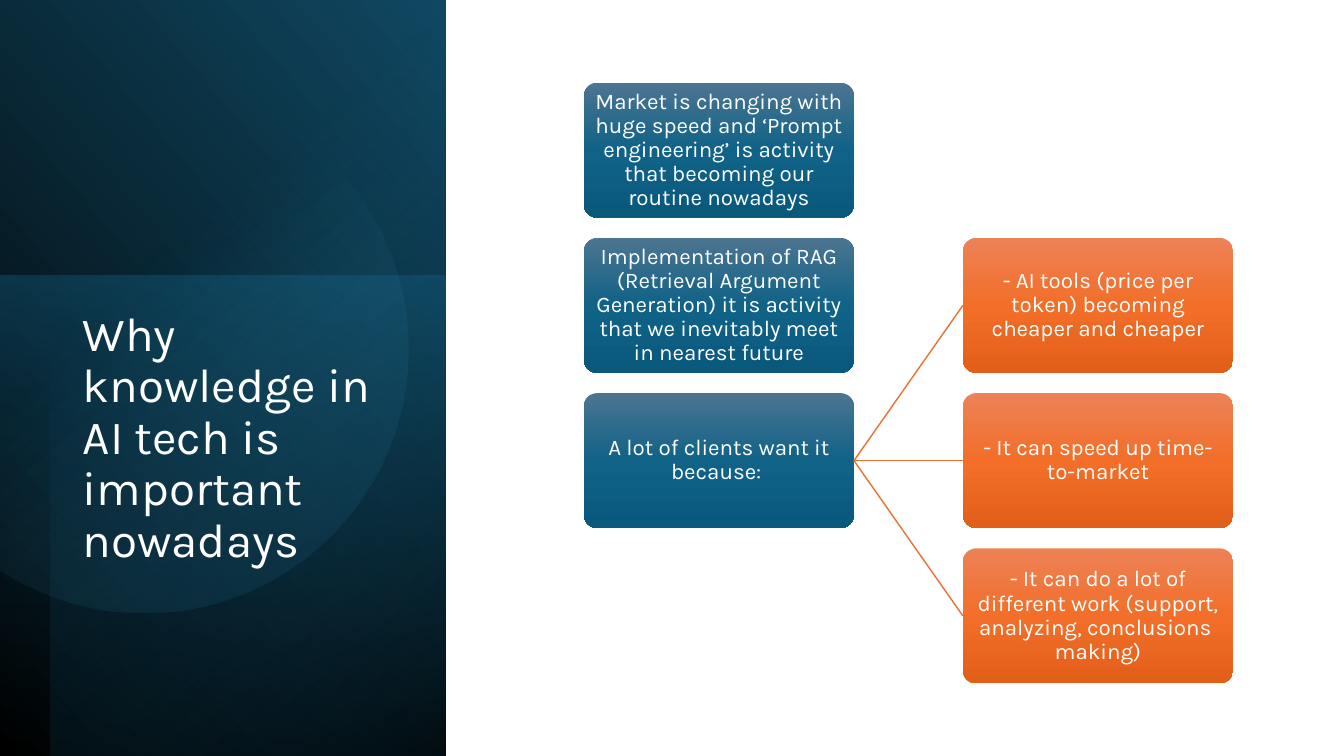
from math import acos, cos, pi, sin

from lxml import etree
from pptx import Presentation
from pptx.dml.color import RGBColor
from pptx.enum.shapes import MSO_CONNECTOR, MSO_SHAPE
from pptx.enum.text import MSO_ANCHOR, MSO_AUTO_SIZE, PP_ALIGN
from pptx.oxml.ns import qn
from pptx.util import Inches, Pt

RECTANGLE, ROUNDED = MSO_SHAPE.RECTANGLE, MSO_SHAPE.ROUNDED_RECTANGLE
STRAIGHT = MSO_CONNECTOR.STRAIGHT
TOP, MIDDLE = MSO_ANCHOR.TOP, MSO_ANCHOR.MIDDLE
LEFT, CENTER = PP_ALIGN.LEFT, PP_ALIGN.CENTER
NO_FIT = MSO_AUTO_SIZE.NONE

WHITE = RGBColor(0xFF, 0xFF, 0xFF)
BLACK = RGBColor(0x00, 0x00, 0x00)
NAVY = RGBColor(0x10, 0x48, 0x62)
TEAL = RGBColor(0x15, 0x60, 0x82)
DEEP_TEAL = RGBColor(0x0B, 0x30, 0x41)
SKY = RGBColor(0x46, 0xB1, 0xE1)
ORANGE = RGBColor(0xE9, 0x71, 0x32)
BLUE_SHADES = [
    (0, RGBColor(0x4C, 0x75, 0x91), 100),
    (50, RGBColor(0x10, 0x62, 0x87), 100),
    (100, RGBColor(0x09, 0x59, 0x7D), 100),
]
ORANGE_SHADES = [
    (0, RGBColor(0xED, 0x82, 0x57), 100),
    (50, RGBColor(0xF2, 0x6E, 0x29), 100),
    (100, RGBColor(0xE2, 0x5F, 0x1A), 100),
]
FONT = "Karla"

TITLE = "Why knowledge in AI tech is important nowadays"
REASONS = [
    "Market is changing with huge speed and ‘Prompt engineering’ is activity "
    "that becoming our routine nowadays",
    "Implementation of RAG (Retrieval Argument Generation) it is activity "
    "that we inevitably meet in nearest future",
    "A lot of clients want it because: ",
]
CLIENT_BENEFITS = [
    "- AI tools (price per token) becoming cheaper and cheaper",
    "- It can speed up time-to-market",
    "- It can do a lot of different work (support, analyzing, conclusions  making)",
]

SLIDE_W, SLIDE_H = 13.33, 7.5
PANEL_W = 4.42
PANEL_LAYERS = [
    (0, 0, 90, True, [(0, BLACK, 100), (100, NAVY, 100)], 310),
    (0, 2.73, 270, False, [(0, TEAL, 50), (100, DEEP_TEAL, 0)], 190),
    (0.5, 0, 270, True, [(0, BLACK, 59), (69, TEAL, 0)], 220),
]
DISC_X, DISC_Y, DISC_R = 1.43, 3.46, 2.62
DISC_STEPS = 120
DISC_SHADES = [(39, SKY, 0), (100, NAVY, 26)]
TITLE_FRAME = (0.72, 3.03, 3.15, 3.36)

BOX_W, BOX_H = 2.68, 1.34
GRID_X, GRID_Y = 5.79, 0.82
COLUMN_STEP, ROW_STEP = 3.76, 1.54
CLIENT_ROW = len(REASONS) - 1
FIRST_BENEFIT_ROW = 1


def paint(shape, shades, angle):
    shape.shadow.inherit = False
    shape.line.fill.background()
    shape.fill.gradient()
    gradient = shape._element.spPr.find(qn("a:gradFill"))
    gradient.set("rotWithShape", "1")
    stops = gradient.find(qn("a:gsLst"))
    for stop in list(stops):
        stops.remove(stop)
    for position, color, opacity in shades:
        stop = etree.SubElement(stops, qn("a:gs"), pos=str(position * 1000))
        tone = etree.SubElement(stop, qn("a:srgbClr"), val=str(color))
        etree.SubElement(tone, qn("a:alpha"), val=str(opacity * 1000))
    direction = gradient.find(qn("a:lin"))
    direction.set("ang", str(round(angle * 60000)))
    direction.set("scaled", "0")


def write(frame, text, size, align, anchor, margins):
    frame.text = text
    paragraph = frame.paragraphs[0]
    formats = [
        (frame, dict(word_wrap=True, auto_size=NO_FIT, vertical_anchor=anchor, **margins)),
        (paragraph, dict(alignment=align, line_spacing=0.9)),
        (paragraph.runs[0].font, dict(name=FONT, size=Pt(size))),
    ]
    for target, values in formats:
        for attribute, value in values.items():
            setattr(target, attribute, value)
    paragraph.runs[0].font.color.rgb = WHITE


def add_layer(shapes, x, y, rotation, mirrored, shades, angle):
    seen_w, seen_h = PANEL_W - x, SLIDE_H - y
    left = x + (seen_w - seen_h) / 2
    top = y + (seen_h - seen_w) / 2
    layer = shapes.add_shape(
        RECTANGLE, Inches(left), Inches(top), Inches(seen_h), Inches(seen_w))
    layer.rotation = rotation
    if mirrored:
        layer._element.spPr.find(qn("a:xfrm")).set("flipH", "1")
    paint(layer, shades, angle)


def add_disc(shapes):
    reach = acos(-DISC_X / DISC_R)
    turns = [reach * (2 * step / DISC_STEPS - 1) for step in range(DISC_STEPS + 1)]
    rim = [(Inches(DISC_X + DISC_R * cos(turn)), Inches(DISC_Y + DISC_R * sin(turn)))
           for turn in turns]
    builder = shapes.build_freeform(*rim[0])
    builder.add_line_segments(rim[1:], close=True)
    paint(builder.convert_to_shape(), DISC_SHADES, 51.6)


def cell(column, row):
    return GRID_X + column * COLUMN_STEP, GRID_Y + row * ROW_STEP


def add_box(shapes, column, row, text, shades):
    x, y = cell(column, row)
    box = shapes.add_shape(ROUNDED, Inches(x), Inches(y), Inches(BOX_W), Inches(BOX_H))
    box.adjustments[0] = 0.1
    paint(box, shades, 90)
    sides = ("margin_left", "margin_right", "margin_top", "margin_bottom")
    write(box.text_frame, text, 16, CENTER, MIDDLE, dict.fromkeys(sides, Inches(0.05)))


def add_branch(shapes, row):
    start_x, start_y = cell(0, CLIENT_ROW)
    end_x, end_y = cell(1, row)
    branch = shapes.add_connector(
        STRAIGHT, Inches(start_x + BOX_W), Inches(start_y + BOX_H / 2),
        Inches(end_x), Inches(end_y + BOX_H / 2))
    branch.line.color.rgb = ORANGE
    branch.line.width = Pt(1)
    etree.SubElement(branch._element.spPr, qn("a:effectLst"))


def main():
    deck = Presentation()
    deck.slide_width, deck.slide_height = Inches(SLIDE_W), Inches(SLIDE_H)
    slide = deck.slides.add_slide(deck.slide_layouts[5])
    shapes = slide.shapes

    for layer in PANEL_LAYERS:
        add_layer(shapes, *layer)
    add_disc(shapes)

    title = shapes.title
    title.left, title.top, title.width, title.height = map(Inches, TITLE_FRAME)
    write(title.text_frame, TITLE, 34, LEFT, TOP, {})
    title._element.getparent().append(title._element)

    for row, reason in enumerate(REASONS):
        add_box(shapes, 0, row, reason, BLUE_SHADES)
    for row, benefit in enumerate(CLIENT_BENEFITS, FIRST_BENEFIT_ROW):
        add_branch(shapes, row)
        add_box(shapes, 1, row, benefit, ORANGE_SHADES)

    deck.save("out.pptx")


if __name__ == "__main__":
    main()
